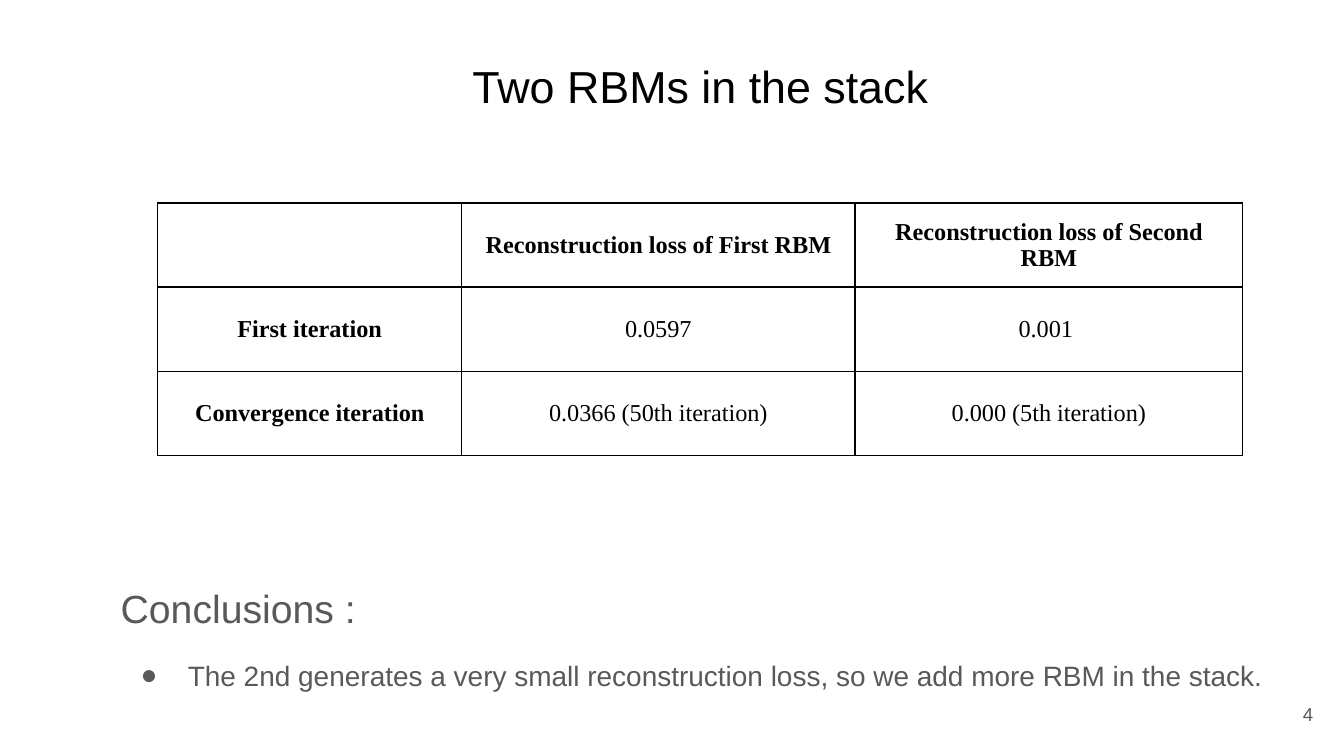
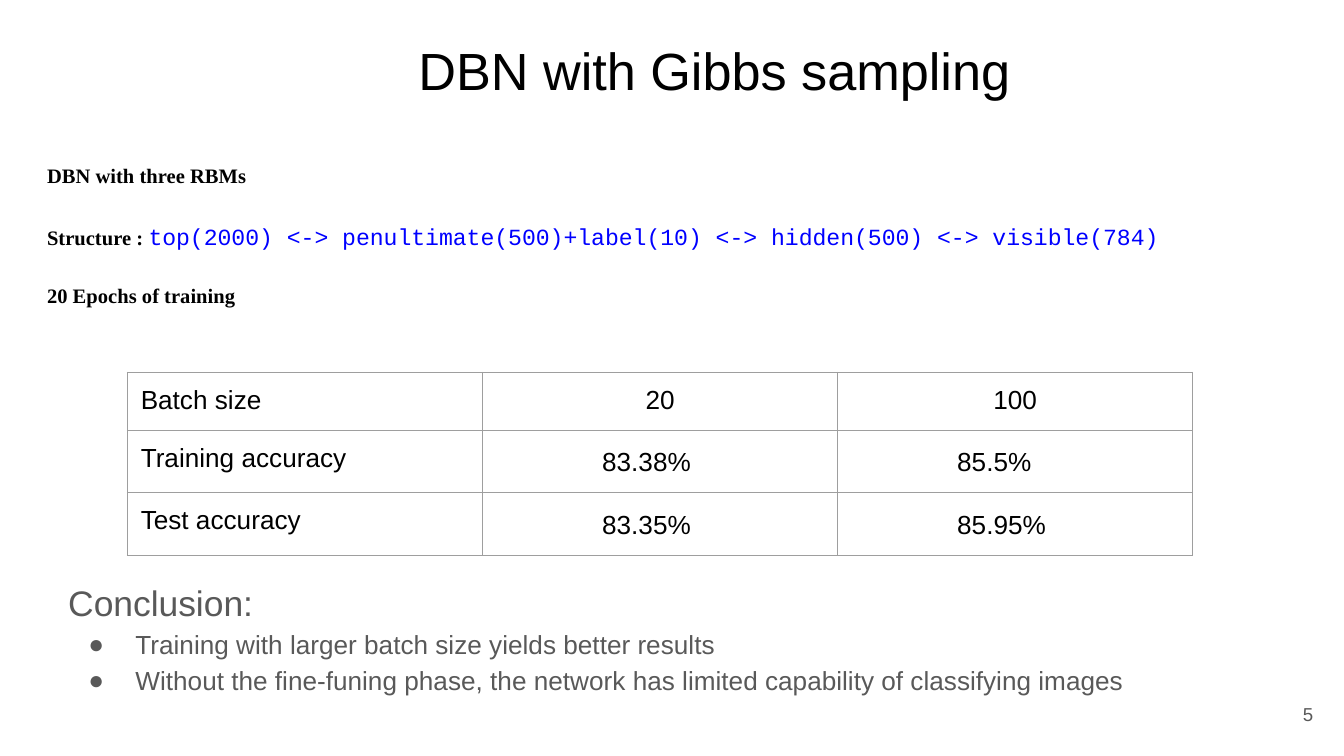
from dataclasses import dataclass
from typing import Optional

from lxml import etree
from pptx import Presentation
from pptx import util as u
from pptx.dml.color import RGBColor
from pptx.enum import text
from pptx.oxml import ns

Cm, Pt = u.Cm, u.Pt
ALIGN, ANCHOR = text.PP_ALIGN, text.MSO_ANCHOR


# Theme: colours, fonts and type sizes
@dataclass(frozen=True)
class Theme:
    ink: str = "000000"
    grey: str = "595959"
    code: str = "0000FF"
    rule: str = "9E9E9E"
    sans: str = "Arial"
    serif: str = "Times New Roman"
    mono: str = "Courier New"
    page_pt: float = 10
    note_pt: float = 11
    code_pt: float = 12.4
    loss_pt: float = 13
    accuracy_pt: float = 14
    leading: float = 1.15
    inset: float = 0.25


T = Theme()


@dataclass(frozen=True)
class Style:
    size: float
    font: str = T.sans
    color: str = T.ink
    bold: bool = False


@dataclass(frozen=True)
class Run:
    text: str
    style: Style


@dataclass(frozen=True)
class Para:
    runs: tuple[Run, ...]
    align: Optional[ALIGN] = None
    leading: Optional[float] = None
    before: float = 0
    indent: float = 0
    bullet: bool = False


@dataclass(frozen=True)
class Box:
    left: float
    top: float
    width: float
    height: float


@dataclass(frozen=True)
class Grid:
    left: float
    top: float
    cols: tuple[float, ...]
    row_height: float
    line_color: str
    line_pt: float
    inset: float
    anchor: ANCHOR


PAGE_BOX = Box(23.55, 12.95, 1.52, 1.09)
NOTE = Style(T.note_pt, T.serif, bold=True)
CODE = Style(T.code_pt, T.mono, T.code)
LOSS = Style(T.loss_pt, T.serif)
LOSS_HEAD = Style(T.loss_pt, T.serif, bold=True)
ACCURACY = Style(T.accuracy_pt)


def one(words: str, style: Style, **layout) -> Para:
    return Para((Run(words, style),), **layout)


# Text
def add_bullet(p, color: str) -> None:
    pPr = p._p.get_or_add_pPr()
    pPr.set("marL", str(Cm(1.27)))
    pPr.set("indent", str(Cm(-0.89)))
    clr = etree.SubElement(pPr, ns.qn("a:buClr"))
    etree.SubElement(clr, ns.qn("a:srgbClr"), val=color)
    etree.SubElement(pPr, ns.qn("a:buFont"), typeface=T.sans)
    etree.SubElement(pPr, ns.qn("a:buChar"), char="●")


def write(tf, paras: list[Para]) -> None:
    for i, para in enumerate(paras):
        p = tf.add_paragraph() if i else tf.paragraphs[0]
        p.alignment = para.align
        p.line_spacing = para.leading
        if para.before:
            p.space_before = Pt(para.before)
        if para.indent:
            p._p.get_or_add_pPr().set("marL", str(Cm(para.indent)))
        if para.bullet:
            add_bullet(p, para.runs[0].style.color)
        for run in para.runs:
            r = p.add_run()
            r.text = run.text
            r.font.size = Pt(run.style.size)
            r.font.name = run.style.font
            r.font.bold = run.style.bold
            r.font.color.rgb = RGBColor.from_string(run.style.color)


def set_insets(target, inset: float) -> None:
    target.margin_left = target.margin_right = Cm(inset)
    target.margin_top = target.margin_bottom = Cm(inset)


def add_text(s, box: Box, paras: list[Para], anchor: ANCHOR = ANCHOR.TOP) -> None:
    sp = s.shapes.add_textbox(Cm(box.left), Cm(box.top), Cm(box.width), Cm(box.height))
    tf = sp.text_frame
    tf.word_wrap = True
    tf.vertical_anchor = anchor
    set_insets(tf, T.inset)
    write(tf, paras)


def add_conclusion(s, box: Box, heading: str, points: list[str], head_pt: float,
                   point_pt: float, gap: float = 0,
                   anchor: ANCHOR = ANCHOR.TOP) -> None:
    paras = [one(heading, Style(head_pt, color=T.grey), leading=T.leading)]
    paras += [one(point, Style(point_pt, color=T.grey), leading=T.leading,
                  before=gap, bullet=True) for point in points]
    add_text(s, box, paras, anchor)


# Tables
def set_borders(cell, color: str, width: float) -> None:
    tcPr = cell._tc.get_or_add_tcPr()
    for i, side in enumerate(("lnL", "lnR", "lnT", "lnB")):
        ln = etree.Element(ns.qn(f"a:{side}"), w=str(Pt(width)))
        fill = etree.SubElement(ln, ns.qn("a:solidFill"))
        etree.SubElement(fill, ns.qn("a:srgbClr"), val=color)
        tcPr.insert(i, ln)


def add_grid(s, grid: Grid, rows: list[list[Optional[Para]]]) -> None:
    frame = s.shapes.add_table(len(rows), len(grid.cols), Cm(grid.left), Cm(grid.top),
                               Cm(sum(grid.cols)), Cm(grid.row_height * len(rows)))
    table = frame.table
    table.first_row = table.horz_banding = False
    for col, width in zip(table.columns, grid.cols):
        col.width = Cm(width)
    for row, paras in zip(table.rows, rows):
        row.height = Cm(grid.row_height)
        for cell, para in zip(row.cells, paras):
            cell.fill.background()
            cell.vertical_anchor = grid.anchor
            set_insets(cell, grid.inset)
            set_borders(cell, grid.line_color, grid.line_pt)
            if para:
                write(cell.text_frame, [para])


# Slide frame: title and page number
def add_slide(prs, title: str, title_box: Box, title_pt: float, page: int,
              leading: Optional[float] = None, before: float = 0):
    s = prs.slides.add_slide(prs.slide_layouts[6])
    add_text(s, title_box, [one(title, Style(title_pt), align=ALIGN.CENTER,
                                leading=leading, before=before)])
    add_text(s, PAGE_BOX, [one(str(page), Style(T.page_pt, color=T.grey),
                               align=ALIGN.RIGHT)], ANCHOR.MIDDLE)
    return s


def build_stack_slide(prs) -> None:
    s = add_slide(prs, "Two RBMs in the stack", Box(2.49, 0.71, 21.49, 2.72), 24, 4,
                  leading=T.leading)
    losses = [
        ["", "Reconstruction loss of First RBM", "Reconstruction loss of Second RBM"],
        ["First iteration", "0.0597", "0.001 "],
        ["Convergence iteration", "0.0366 (50th iteration)", "0.000 (5th iteration)"],
    ]
    rows = [[one(words, LOSS if i and j else LOSS_HEAD, align=ALIGN.CENTER)
             if words else None for j, words in enumerate(line)]
            for i, line in enumerate(losses)]
    add_grid(s, Grid(2.98, 3.84, (5.74, 7.44, 7.32), 1.59, T.ink, 1, 0.18,
                     ANCHOR.MIDDLE), rows)
    add_conclusion(s, Box(2.03, 10.06, 22.4, 3.86), "Conclusions :", [
        "The 2nd generates a very small reconstruction loss, so we add more RBM in the stack.",
    ], 21, 15, gap=12, anchor=ANCHOR.MIDDLE)


def build_sampling_slide(prs) -> None:
    s = add_slide(prs, "DBN with Gibbs sampling", Box(2.72, 0.48, 21.56, 1.6), 28, 5,
                  before=3)

    # Network set-up
    layers = "top(2000) <-> penultimate(500)+label(10) <-> hidden(500) <-> visible(784)"
    setup = [
        (Run("DBN with three RBMs", NOTE),),
        (Run("Structure : ", NOTE), Run(layers, CODE)),
        (Run("20 Epochs of training", NOTE),),
    ]
    add_text(s, Box(0.64, 2.77, 23.67, 4), [
        Para(runs, ALIGN.JUSTIFY, T.leading, before=16 if i else 0)
        for i, runs in enumerate(setup)])

    # Accuracy by batch size
    accuracies = [
        ("Training accuracy", "83.38%", "85.5%"),
        ("Test accuracy", "83.35%", "85.95%"),
    ]
    rows = [[one("Batch size", ACCURACY)]
            + [one(size, ACCURACY, align=ALIGN.CENTER) for size in ("20", "100")]]
    rows += [[one(label, ACCURACY)]
             + [one(value, ACCURACY, align=ALIGN.JUSTIFY, leading=T.leading, indent=2.01)
                for value in values] for label, *values in accuracies]
    add_grid(s, Grid(2.41, 7.04, (6.71,) * 3, 1.07, T.rule, 0.75, T.inset,
                     ANCHOR.TOP), rows)
    add_conclusion(s, Box(1.04, 10.62, 22.38, 2.74), "Conclusion:", [
        "Training with larger batch size yields better results",
        "Without the fine-funing phase, the network has limited capability of classifying images",
    ], 19, 14)


def main() -> None:
    prs = Presentation()
    prs.slide_width, prs.slide_height = Cm(25.4), Cm(14.29)
    build_stack_slide(prs)
    build_sampling_slide(prs)
    prs.save("out.pptx")


if __name__ == "__main__":
    main()
